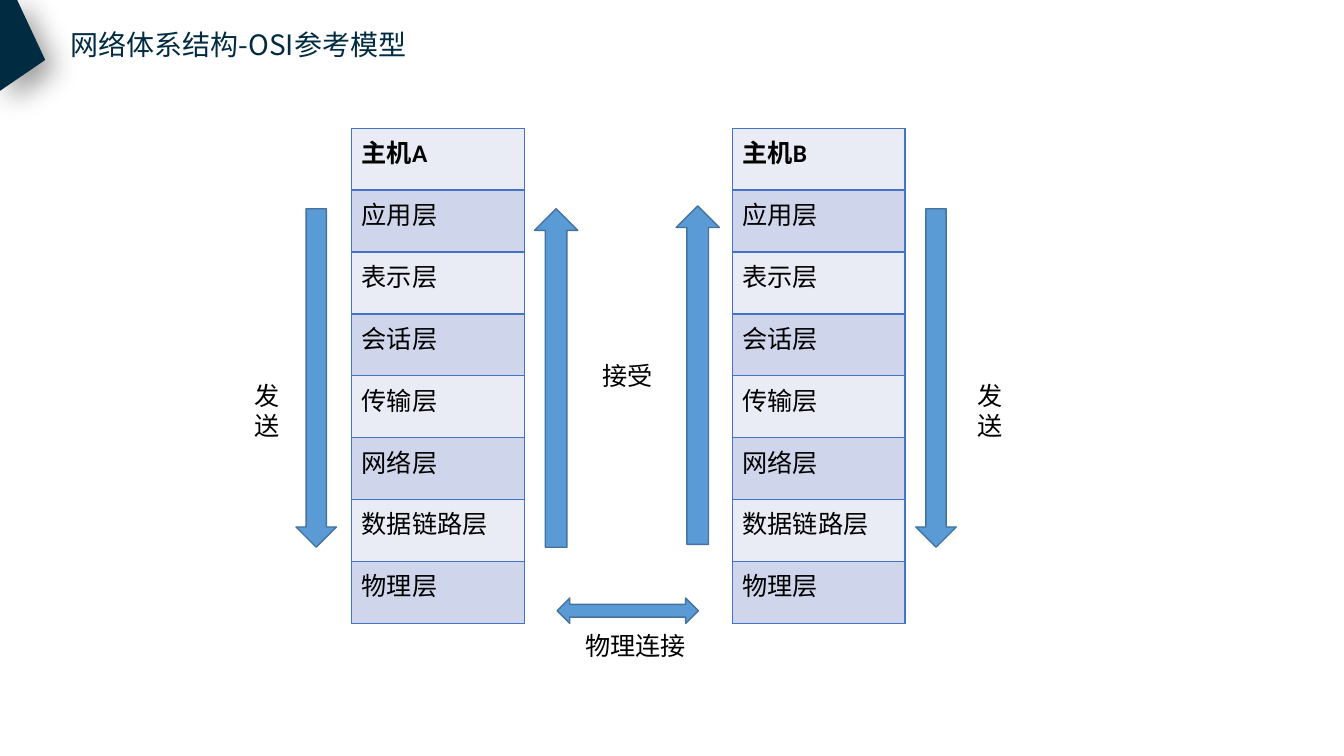
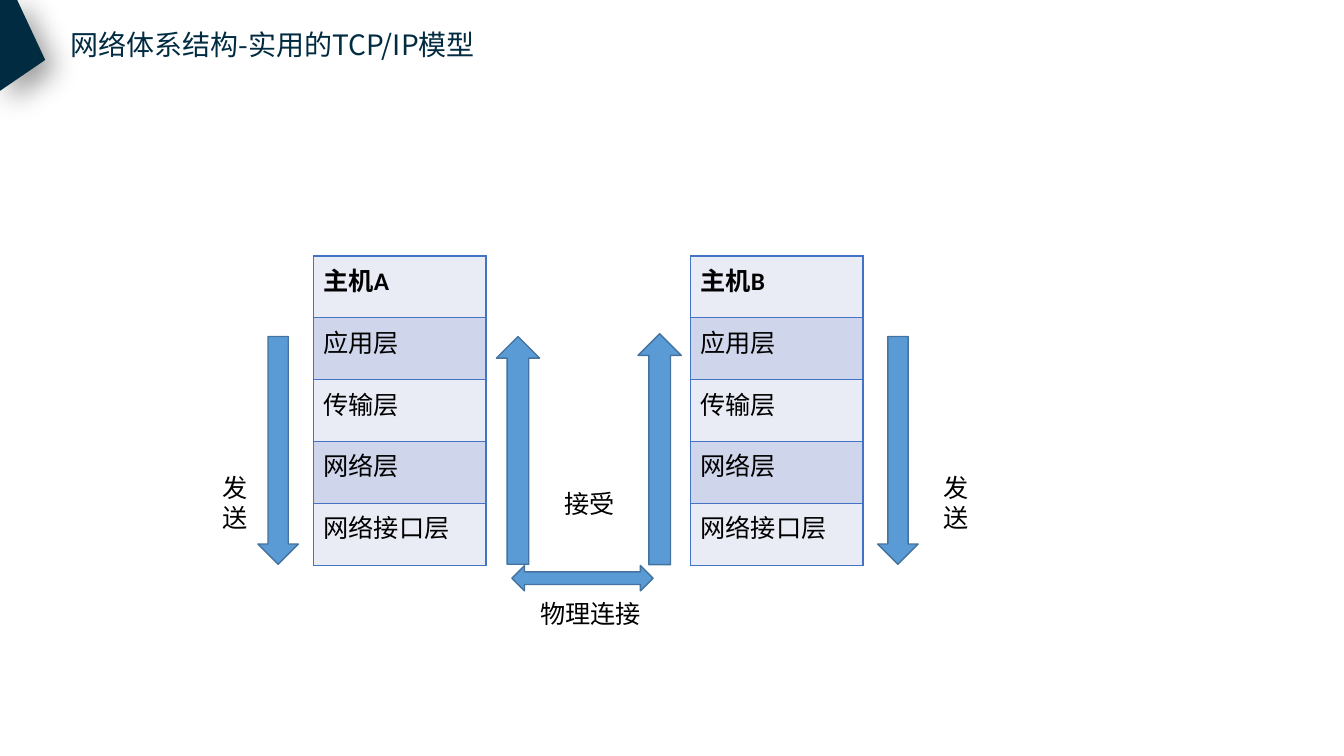
from dataclasses import dataclass

from lxml.etree import SubElement
from pptx import Presentation
from pptx.dml.color import RGBColor
from pptx.enum.shapes import MSO_SHAPE
from pptx.enum.text import MSO_ANCHOR, MSO_AUTO_SIZE, PP_ALIGN
from pptx.oxml.ns import qn
from pptx.util import Cm, Pt


@dataclass(frozen=True)
class Theme:
    navy: str = "002B41"
    ink: str = "000000"
    blue: str = "5B9BD5"
    edge: str = "43739E"
    grid: str = "4472C4"
    bands: tuple = ("E9EBF5", "CFD5EA")
    head: int = 20
    body: int = 18
    latin: str = "Calibri"
    asian: str = "Noto Sans CJK SC"


@dataclass(frozen=True)
class Model:
    title: tuple
    width: float
    box: tuple
    layers: tuple
    gap: float
    down: float
    up: float
    send: tuple
    link: tuple


THEME = Theme()
ROW = 1.56
COL = 4.35

MODELS = (
    Model(
        title=("网络体系结构", "-OSI", "参考模型"),
        width=9.14,
        box=(8.86, 3.23),
        layers=("应用层", "表示层", "会话层", "传输层",
                "网络层", "数据链路层", "物理层"),
        gap=9.6, down=8.53, up=8.53,
        send=(-2.69, 15.52, 6.22),
        link=(5.18, 11.84),
    ),
    Model(
        title=("网络体系结构", "-", "实用的", "TCP/IP", "模型"),
        width=10.9,
        box=(7.9, 6.45),
        layers=("应用层", "传输层", "网络层", "网络接口层"),
        gap=9.5, down=5.74, up=5.82,
        send=(-2.54, 15.62, 5.33),
        link=(5, 7.8),
    ),
)


def color(code):
    return RGBColor.from_string(code)


def write(frame, parts, size=THEME.body, tint=THEME.ink,
          face=THEME.latin, bold=False):
    para = frame.paragraphs[0]
    para.alignment = PP_ALIGN.LEFT
    for part in parts:
        run = para.add_run()
        run.text = part
        font = run.font
        font.size = Pt(size)
        font.bold = bold
        font.color.rgb = color(tint)
        font.name = face
        SubElement(font._element, qn("a:ea"), typeface=THEME.asian)


def add_title(slide, parts, width):
    title = slide.shapes.title
    title.left, title.top = Cm(1.52), Cm(0.56)
    title.width, title.height = Cm(width), Cm(1.12)
    frame = title.text_frame
    frame.auto_size = MSO_AUTO_SIZE.NONE
    frame.vertical_anchor = MSO_ANCHOR.TOP
    frame.word_wrap = True
    write(frame, parts, THEME.head, THEME.navy, THEME.asian)


def add_corner(slide, wide, high):
    pen = slide.shapes.build_freeform(Cm(wide * 0.38), 0)
    pen.add_line_segments([
        (0, 0), (0, Cm(high)), (Cm(wide), Cm(high * 0.66)),
    ])
    shape = pen.convert_to_shape()
    shape.fill.solid()
    shape.fill.fore_color.rgb = color(THEME.navy)
    shape.line.fill.background()
    shape.shadow.inherit = False
    glow = SubElement(
        shape._element.spPr.find(qn("a:effectLst")), qn("a:outerShdw"),
        blurRad=str(Pt(20)), dist=str(Pt(10)), dir=str(45 * 60000),
        algn="tl", rotWithShape="0",
    )
    tint = SubElement(glow, qn("a:srgbClr"), val=THEME.ink)
    SubElement(tint, qn("a:alpha"), val="40000")


def add_edges(cell):
    props = cell._tc.get_or_add_tcPr()
    for index, side in enumerate(("lnL", "lnR", "lnT", "lnB")):
        line = props.makeelement(qn(f"a:{side}"), {"w": str(Pt(1))})
        fill = SubElement(line, qn("a:solidFill"))
        SubElement(fill, qn("a:srgbClr"), val=THEME.grid)
        props.insert(index, line)


def add_stack(slide, left, top, names):
    table = slide.shapes.add_table(
        len(names), 1, Cm(left), Cm(top), Cm(COL), Cm(ROW * len(names))
    ).table
    table.first_row = table.horz_banding = False
    for index, name in enumerate(names):
        table.rows[index].height = Cm(ROW)
        cell = table.cell(index, 0)
        cell.fill.solid()
        cell.fill.fore_color.rgb = color(THEME.bands[index % 2])
        add_edges(cell)
        write(cell.text_frame, (name,), bold=index == 0)


def add_arrow(slide, kind, left, top, wide, high):
    arrow = slide.shapes.add_shape(
        kind, Cm(left), Cm(top), Cm(wide), Cm(high))
    arrow.shadow.inherit = False
    arrow.fill.solid()
    arrow.fill.fore_color.rgb = color(THEME.blue)
    arrow.line.color.rgb = color(THEME.edge)
    arrow.line.width = Pt(1)


def add_label(slide, text, left, top, wide, high, wrap=False):
    frame = slide.shapes.add_textbox(
        Cm(left), Cm(top), Cm(wide), Cm(high)).text_frame
    frame.word_wrap = wrap
    write(frame, (text,))


def add_flow(slide, model):
    left, top = model.box
    for host, shift in (("主机A", 0), ("主机B", model.gap)):
        add_stack(slide, left + shift, top, (host, *model.layers))

    base = top + 2.03 + model.down
    for shift in (-1.4, 14.22):
        add_arrow(slide, MSO_SHAPE.DOWN_ARROW, left + shift,
                  top + 2.03, 1.02, model.down)
    for shift, start, high in ((4.61, 2.03, model.down),
                               (8.18, 1.96, model.up)):
        add_arrow(slide, MSO_SHAPE.UP_ARROW, left + shift,
                  top + start, 1.09, high)

    near, far, drop = model.send
    for shift in (near, far):
        add_label(slide, "发送", left + shift, top + drop, 0.94, 1.8, True)
    add_label(slide, "接受", left + 6.07, top + 5.72, 1.8, 1.02)

    across, drop = model.link
    add_arrow(slide, MSO_SHAPE.LEFT_RIGHT_ARROW,
              left + across, top + drop, 3.56, 0.64)
    add_label(slide, "物理连接", left + across + 0.46,
              top + drop + 0.69, 3.07, 1.02)


def add_model(deck, model):
    slide = deck.slides.add_slide(deck.slide_layouts[5])
    add_title(slide, model.title, model.width)
    add_corner(slide, 1.14, 2.29)
    add_flow(slide, model)


def main():
    deck = Presentation()
    deck.slide_width, deck.slide_height = Cm(33.87), Cm(19.05)
    for model in MODELS:
        add_model(deck, model)
    deck.save("out.pptx")


if __name__ == "__main__":
    main()
